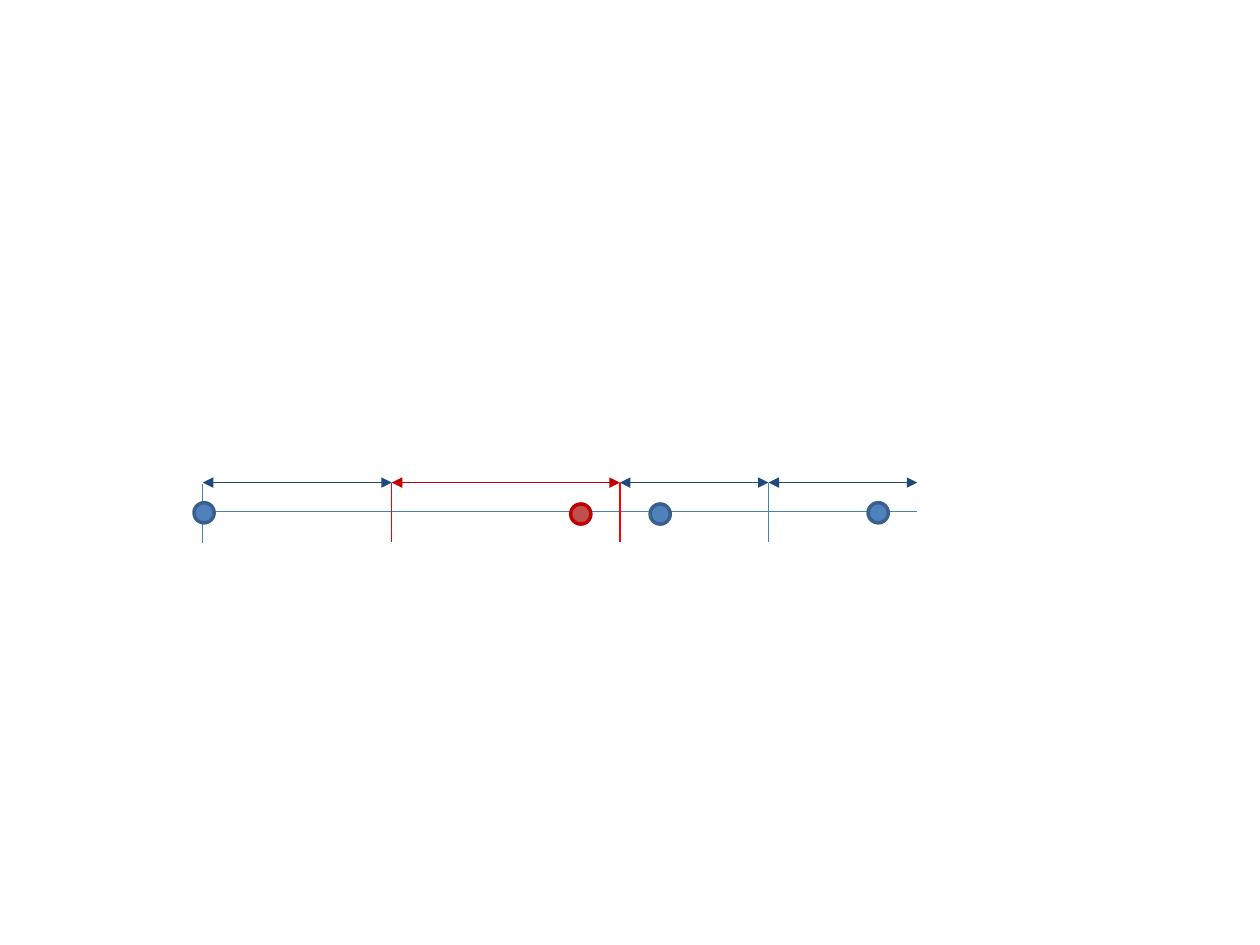
from pptx import Presentation
from pptx.dml.color import RGBColor
from pptx.enum.shapes import MSO_CONNECTOR, MSO_SHAPE
from pptx.oxml.ns import qn
from pptx.util import Inches, Pt
from lxml import etree

STRAIGHT = MSO_CONNECTOR.STRAIGHT
OVAL = MSO_SHAPE.OVAL
BLUE = RGBColor(0x4F, 0x81, 0xBD)
EDGE = RGBColor(0x3A, 0x5F, 0x8C)
AXIS = RGBColor(0x4B, 0x7E, 0xBC)
NAVY = RGBColor(0x1F, 0x49, 0x7D)
ROSE = RGBColor(0xC0, 0x50, 0x4D)
DARK = RGBColor(0xC0, 0x00, 0x00)
RED = RGBColor(0xFF, 0x00, 0x00)

deck = Presentation()
deck.slide_width = Inches(10)
deck.slide_height = Inches(7.5)
slide = deck.slides.add_slide(deck.slide_layouts[6])


def add_line(x1, y1, x2, y2, color, arrows=False):
    line = slide.shapes.add_connector(
        STRAIGHT, Inches(x1), Inches(y1), Inches(x2), Inches(y2))
    line.line.color.rgb = color
    line.line.width = Pt(0.75)
    if arrows:
        for end in ("a:headEnd", "a:tailEnd"):
            etree.SubElement(line.line._get_or_add_ln(), qn(end), type="triangle")
    etree.SubElement(line._element.spPr, qn("a:effectLst"))


top = 3.83
tall = 0.47
size = 0.16
stops = [1.61, 3.11, 4.92, 6.1, 7.28]

add_line(stops[0], top + 0.01, stops[0], top + 0.01 + tall, AXIS)
add_line(1.54, 4.06, stops[-1], 4.06, AXIS)

dots = [(1.54, 3.99, BLUE, EDGE), (4.53, 4, ROSE, DARK),
        (5.16, 4, BLUE, EDGE), (6.89, 3.99, BLUE, EDGE)]
for x, y, fill, edge in dots:
    dot = slide.shapes.add_shape(
        OVAL, Inches(x), Inches(y), Inches(size), Inches(size))
    dot.shadow.inherit = False
    dot.fill.solid()
    dot.fill.fore_color.rgb = fill
    dot.line.color.rgb = edge
    dot.line.width = Pt(2)

for x, color in zip(stops[1:4], [RED, RED, AXIS]):
    add_line(x, top, x, top + tall, color)

for left, right, color in zip(stops, stops[1:], [NAVY, DARK, NAVY, NAVY]):
    add_line(left, top, right, top, color, arrows=True)

deck.save("out.pptx")
